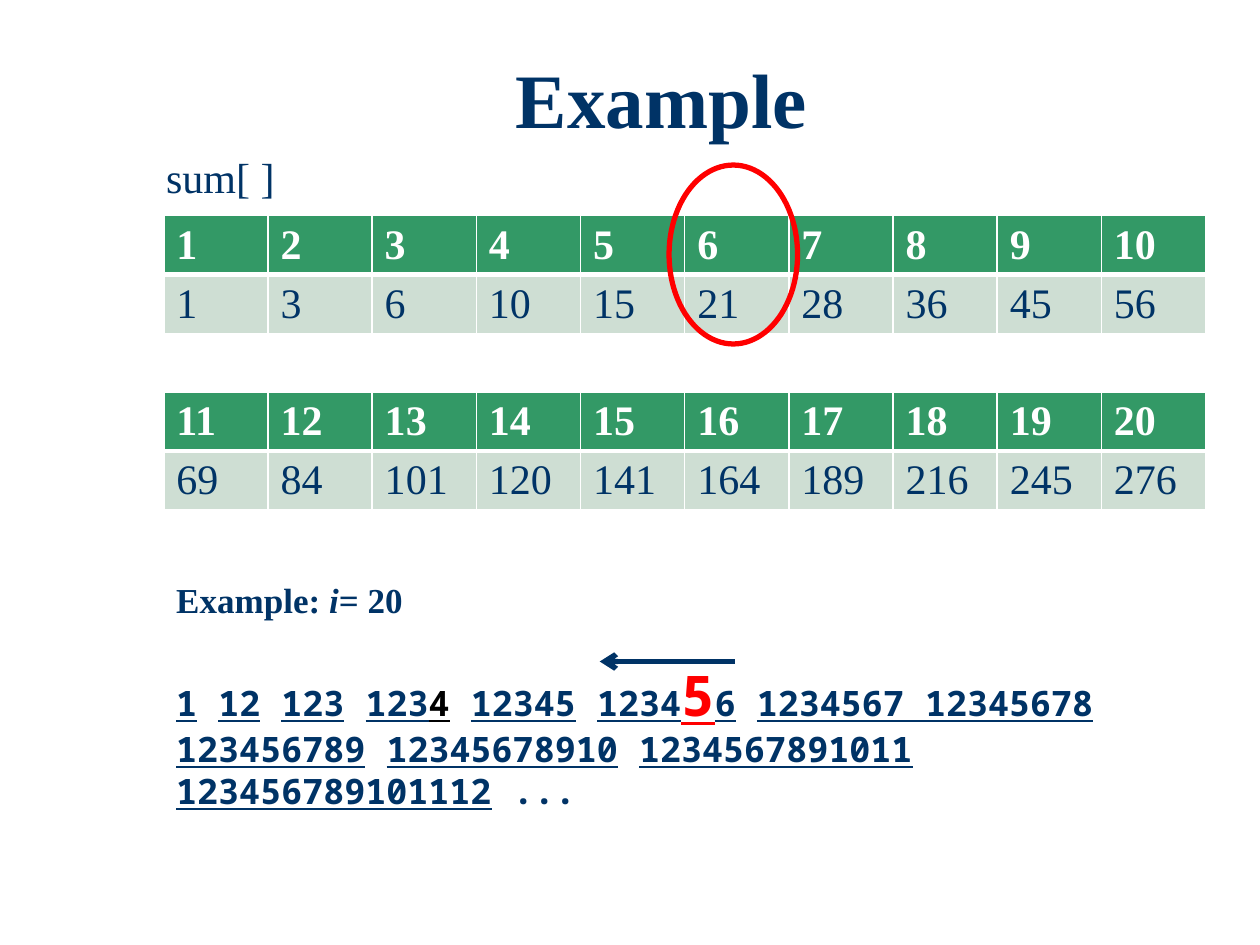
from lxml import etree
from pptx import Presentation
from pptx import util as u
from pptx.dml.color import RGBColor
from pptx.enum import shapes, text
from pptx.oxml.ns import qn

COLORS = {"navy": "003366", "green": "339966", "pale": "CEDED3",
          "white": "FFFFFF", "red": "FF0000", "black": "000000"}
SERIF, MONO = "Times New Roman", "Noto Sans Mono"

SUMS = [1, 3, 6, 10, 15, 21, 28, 36, 45, 56,
        69, 84, 101, 120, 141, 164, 189, 216, 245, 276]
PER_TABLE = 10

# Each word is a list of (text, format) pieces
HIT = {"size": u.Pt(32), "color": "red"}
SEQUENCE = [
    [[("1", {})], [("12", {})], [("123", {})],
     [("123", {}), ("4", {"color": "black"})], [("12345", {})],
     [("1234", {}), ("5", HIT), ("6", {})], [("1234567 12345678", {})]],
    [[("123456789", {})], [("12345678910", {})], [("1234567891011", {})]],
    [[("123456789101112", {})], [("...", {"underline": False})]],
]


def rgb(name):
    return RGBColor.from_string(COLORS[name])


def add_run(paragraph, content, color="navy", **formats):
    run = paragraph.add_run()
    run.text = content
    run.font.color.rgb = rgb(color)
    for name, value in formats.items():
        setattr(run.font, name, value)


def add_title(slide, content):
    title = slide.shapes.title
    box = {"left": 1.25, "top": 0.36, "width": 8, "height": 0.92}
    for name, value in box.items():
        setattr(title, name, u.Inches(value))
    title.text_frame.vertical_anchor = text.MSO_ANCHOR.MIDDLE
    paragraph = title.text_frame.paragraphs[0]
    paragraph.alignment = text.PP_ALIGN.CENTER
    paragraph.line_spacing = 0.9
    add_run(paragraph, content, name=SERIF, size=u.Pt(44), bold=True)


def add_text_box(slide, left, top, width, height):
    box = slide.shapes.add_textbox(*map(u.Inches, (left, top, width, height)))
    box.text_frame.word_wrap = False
    return box.text_frame


def set_borders(cell, widths):
    properties = cell._tc.get_or_add_tcPr()
    for index, (side, width) in enumerate(widths.items()):
        line = etree.Element(qn(f"a:ln{side}"), w=str(u.Pt(width)))
        fill = etree.SubElement(line, qn("a:solidFill"))
        etree.SubElement(fill, qn("a:srgbClr"), val=COLORS["white"])
        properties.insert(index, line)


def add_sum_table(slide, top, start):
    frame = slide.shapes.add_table(2, PER_TABLE, u.Inches(1.3), u.Inches(top),
                                   u.Inches(8.27), u.Inches(0.81))
    rows = [(range(start + 1, start + PER_TABLE + 1), "green", "white", True),
            (SUMS[start:start + PER_TABLE], "pale", "navy", False)]
    for row, (values, fill, color, bold) in enumerate(rows):
        for column, value in enumerate(values):
            cell = frame.table.cell(row, column)
            cell.fill.solid()
            cell.fill.fore_color.rgb = rgb(fill)
            add_run(cell.text_frame.paragraphs[0], str(value), color,
                    name=SERIF, size=u.Pt(24), bold=bold)
            # The thick rule lies between header and values
            set_borders(cell, {"L": 1, "R": 1, "T": 3 if row else 1,
                               "B": 1 if row else 3})


def add_example(slide):
    frame = add_text_box(slide, 1.3, 4.54, 7.71, 2.39)
    base = {"size": u.Pt(20), "bold": True}
    heading = frame.paragraphs[0]
    for content, italic in (("Example: ", False), ("i", True), ("= 20", False)):
        add_run(heading, content, name=SERIF, italic=italic, **base)

    # Underlined words separated by plain spaces
    base["name"] = MONO
    for number, words in enumerate(SEQUENCE):
        paragraph = frame.add_paragraph()
        if number == 0:
            paragraph.space_before = u.Pt(23)
        for position, word in enumerate(words):
            if position:
                add_run(paragraph, " ", underline=False, **base)
            for content, formats in word:
                add_run(paragraph, content,
                        **{**base, "underline": True, **formats})


def add_ring(slide, left, top, width, height):
    ring = slide.shapes.add_shape(
        shapes.MSO_SHAPE.OVAL, *map(u.Inches, (left, top, width, height)))
    ring.shadow.inherit = False
    ring.fill.background()
    ring.line.color.rgb = rgb("red")
    ring.line.width = u.Pt(3)


def add_arrow(slide, *ends):
    arrow = slide.shapes.add_connector(
        shapes.MSO_CONNECTOR.STRAIGHT, *map(u.Inches, ends))
    arrow.line.color.rgb = rgb("navy")
    arrow.line.width = u.Pt(3)
    etree.SubElement(arrow.line._get_or_add_ln(), qn("a:tailEnd"), type="arrow")
    etree.SubElement(arrow._element.spPr, qn("a:effectLst"))


def main():
    presentation = Presentation()
    presentation.slide_width = u.Inches(10)
    presentation.slide_height = u.Inches(7.5)
    slide = presentation.slides.add_slide(presentation.slide_layouts[5])

    add_title(slide, "Example")

    # Prefix sums, ten to a table
    for number, top in enumerate((1.71, 3.11)):
        add_sum_table(slide, top, number * PER_TABLE)
    label = add_text_box(slide, 1.22, 1.15, 1.07, 0.5)
    add_run(label.paragraphs[0], "sum[ ]", name=SERIF, size=u.Pt(24))

    # Worked example with its marks
    add_example(slide)
    add_ring(slide, 5.31, 1.31, 1.02, 1.42)
    add_arrow(slide, 5.83, 5.25, 4.76, 5.25)

    presentation.save("out.pptx")


if __name__ == "__main__":
    main()
